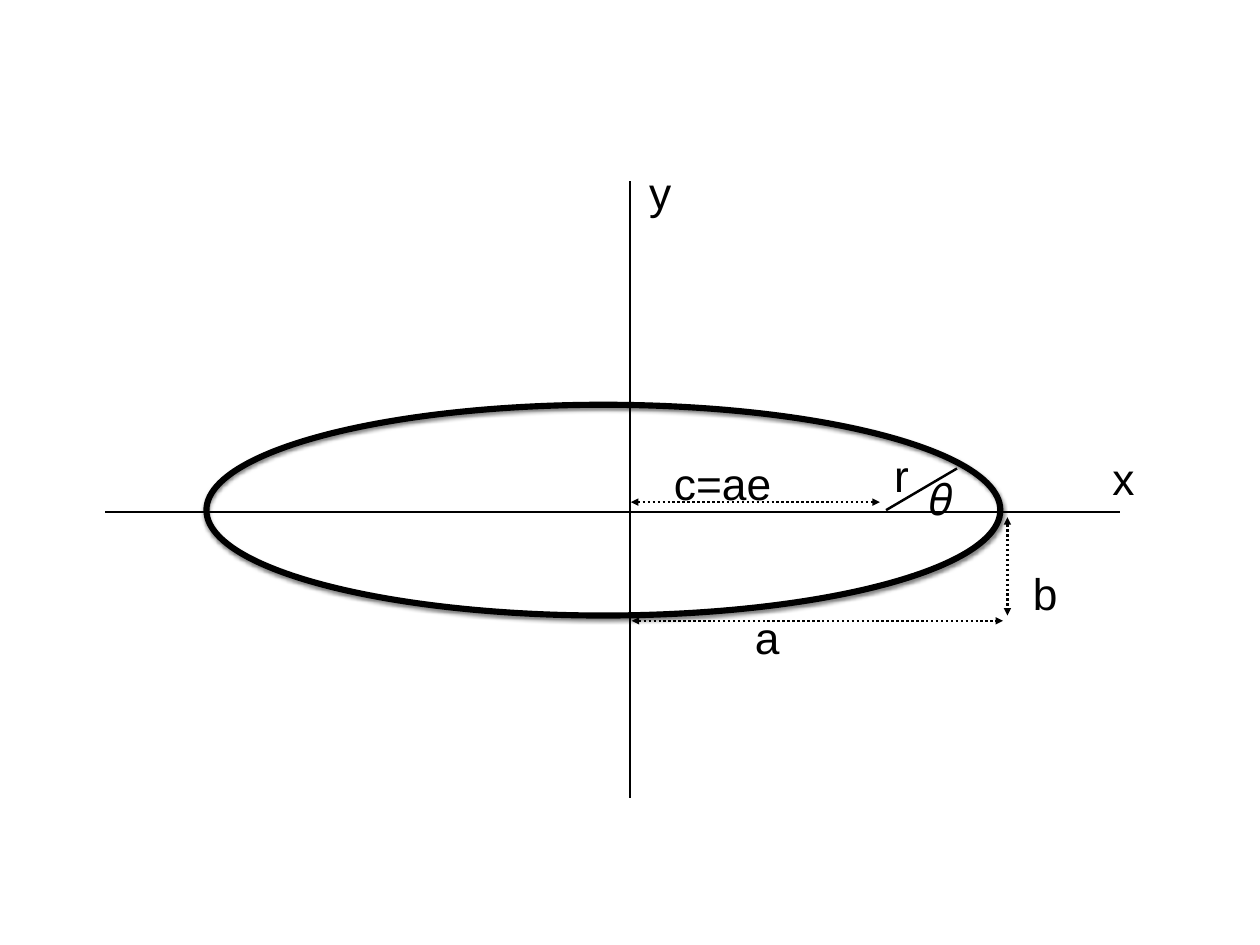
from dataclasses import dataclass

from lxml import etree
from pptx import Presentation
from pptx.dml.color import RGBColor
from pptx.enum import dml, shapes, text
from pptx.oxml import ns
from pptx.util import Inches, Pt

COLORS = {"ink": "000000", "paper": "FFFFFF"}
FONT = "Arial"


@dataclass
class Segment:
    x1: float
    y1: float
    x2: float
    y2: float
    measure: bool = False  # dotted, with an arrowhead at each end


@dataclass
class Label:
    words: str
    left: float
    top: float
    width: float
    height: float = 0.71


AXES_AND_RADIUS = [
    Segment(1.19, 5.78, 12.64, 5.78),  # x axis
    Segment(7.11, 9.01, 7.11, 2.04),  # y axis
    Segment(10, 5.76, 10.8, 5.29),  # radius r
]
MEASURES = [
    Segment(7.12, 5.67, 9.93, 5.67, measure=True),  # c
    Segment(7.13, 7.01, 11.32, 7.01, measure=True),  # a
    Segment(11.37, 5.84, 11.37, 6.95, measure=True),  # b
]
LABELS = [
    Label("c=ae", 7.51, 5.1, 1.29),
    Label("r", 10.03, 5.01, 0.29),
    Label("𝜃", 10.22, 5.19, 0.8, 0.86),
    Label("a", 8.46, 6.83, 0.4),
    Label("b", 11.58, 6.34, 0.43),
    Label("x", 12.49, 5.04, 0.38),
    Label("y", 7.26, 1.81, 0.38),
]


def color(name: str) -> RGBColor:
    return RGBColor.from_string(COLORS[name])


def style_line(line, width: float) -> None:
    line.width = Pt(width)
    line.color.rgb = color("ink")


def draw_ellipse(slide, left: float, top: float, width: float, height: float) -> None:
    orbit = slide.shapes.add_shape(
        shapes.MSO_SHAPE.OVAL, Inches(left), Inches(top), Inches(width), Inches(height))
    orbit.fill.background()
    style_line(orbit.line, 5)
    # Soft shadow straight below the outline
    orbit.shadow.inherit = False
    effects = orbit._element.spPr.find(ns.qn("a:effectLst"))
    shadow = etree.SubElement(
        effects, ns.qn("a:outerShdw"), blurRad=str(Pt(3)), dist=str(Pt(2)),
        dir="5400000", rotWithShape="0")
    tint = etree.SubElement(shadow, ns.qn("a:srgbClr"), val=COLORS["ink"])
    etree.SubElement(tint, ns.qn("a:alpha"), val="50000")


def draw_segment(slide, segment: Segment) -> None:
    stroke = slide.shapes.add_connector(
        shapes.MSO_CONNECTOR.STRAIGHT, Inches(segment.x1), Inches(segment.y1),
        Inches(segment.x2), Inches(segment.y2))
    style_line(stroke.line, 2)
    properties = stroke._element.spPr
    if segment.measure:
        stroke.line.dash_style = dml.MSO_LINE.ROUND_DOT
        outline = properties.find(ns.qn("a:ln"))
        for end in ("a:headEnd", "a:tailEnd"):
            etree.SubElement(outline, ns.qn(end), type="triangle")
    etree.SubElement(properties, ns.qn("a:effectLst"))


def write_text(frame, words: str, *, size: float = 36, font: str = FONT,
               ink: str = "ink", align=text.PP_ALIGN.CENTER) -> None:
    paragraph = frame.paragraphs[0]
    paragraph.alignment = align
    run = paragraph.add_run()
    run.text = words
    run.font.size = Pt(size)
    run.font.name = font
    run.font.color.rgb = color(ink)


def draw_label(slide, label: Label) -> None:
    frame = slide.shapes.add_textbox(
        Inches(label.left), Inches(label.top),
        Inches(label.width), Inches(label.height)).text_frame
    frame.margin_left = frame.margin_right = Inches(0.06)
    frame.margin_top = frame.margin_bottom = Inches(0.06)
    frame.word_wrap = False
    frame.auto_size = text.MSO_AUTO_SIZE.SHAPE_TO_FIT_TEXT
    frame.vertical_anchor = text.MSO_ANCHOR.MIDDLE
    write_text(frame, label.words)


def main() -> None:
    deck = Presentation()
    deck.slide_width, deck.slide_height = Inches(14.22), Inches(10.67)
    slide = deck.slides.add_slide(deck.slide_layouts[6])
    slide.background.fill.solid()
    slide.background.fill.fore_color.rgb = color("paper")

    # Ellipse, then axes and distances, then their names
    draw_ellipse(slide, 2.33, 4.57, 8.96, 2.38)
    for segment in AXES_AND_RADIUS + MEASURES:
        draw_segment(slide, segment)
    for label in LABELS:
        draw_label(slide, label)

    deck.save("out.pptx")


if __name__ == "__main__":
    main()
